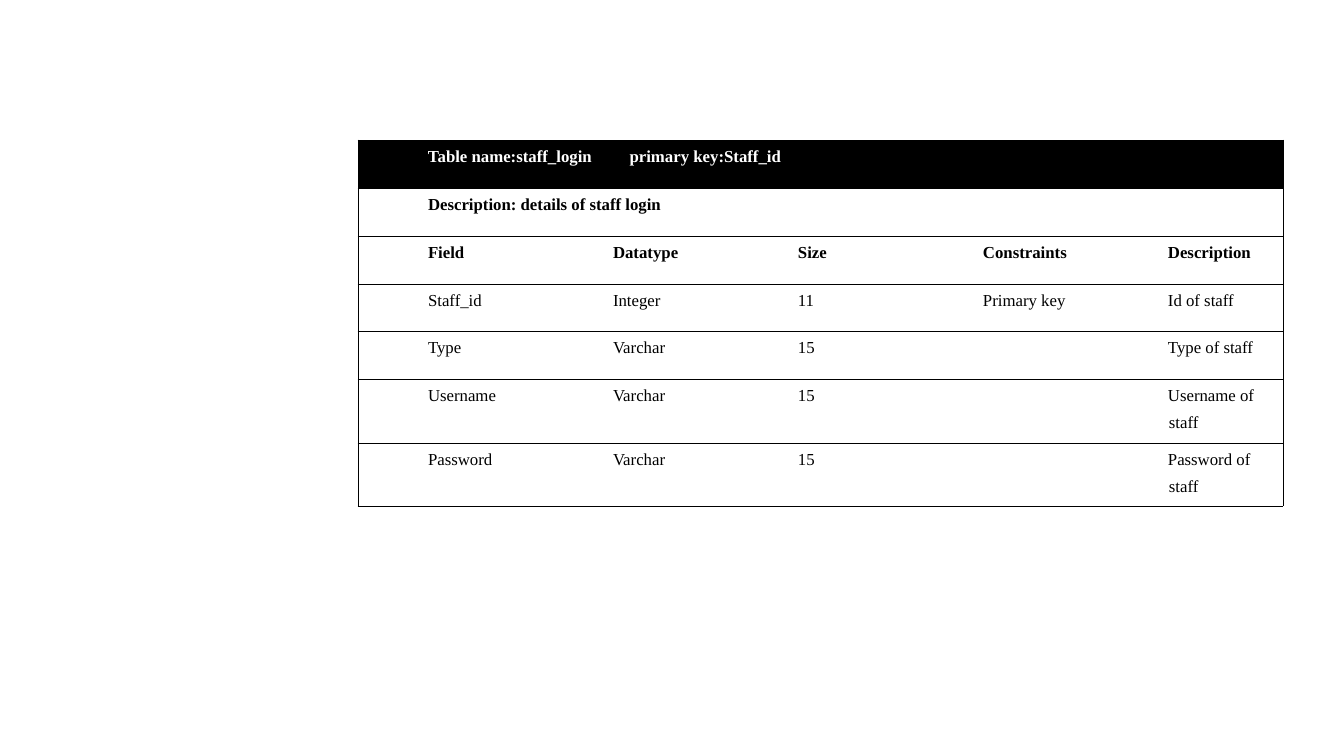
import pptx
import pptx.util
import pptx.dml.color
import pptx.oxml.ns
import lxml.etree

PX = 9071
HUES = {"ink": "000000", "paper": "FFFFFF"}
COLS = 5
WIDTH = 185
HEIGHTS = [48, 48, 48, 47, 48, 64, 63]
ROWS = [
    ["Table name:staff_login\tprimary key:Staff_id"],
    ["Description: details of staff login"],
    ["Field", "Datatype", "Size", "Constraints", "Description"],
    ["Staff_id", "Integer", "11", "Primary key", "Id of staff"],
    ["Type", "Varchar", "15", "", "Type of staff"],
    ["Username", "Varchar", "15", "", "Username of staff"],
    ["Password", "Varchar", "15", "", "Password of staff"],
]
BODY = {"inset": 7, "indent": 64, "first": -1, "tab": None, "bold": False, "hue": "ink"}
BOLD = {**BODY, "bold": True}
HEAD = {**BOLD, "inset": 70, "indent": 0, "first": 0, "tab": 327, "hue": "paper"}
LOOKS = [HEAD, BOLD, BOLD] + [BODY] * 4


def px(count):
    return pptx.util.Emu(count * PX)


def color(name):
    return pptx.dml.color.RGBColor.from_string(HUES[name])


def assign(target, values):
    for name, value in values.items():
        setattr(target, name, value)


def add(parent, tag, **attrs):
    return lxml.etree.SubElement(parent, pptx.oxml.ns.qn(tag), **attrs)


def edge(cell, sides):
    props = cell._tc.get_or_add_tcPr()
    for side in "LRTB":
        line = add(props, "a:ln" + side, w=str(pptx.util.Pt(0.5)))
        if side in sides:
            add(add(line, "a:solidFill"), "a:srgbClr", val=HUES["ink"])
        else:
            add(line, "a:noFill")


def write(cell, text, look):
    assign(cell, {
        "margin_left": px(look["inset"]), "margin_right": px(7),
        "margin_top": 0, "margin_bottom": 0,
    })
    para = cell.text_frame.paragraphs[0]
    props = para._p.get_or_add_pPr()
    props.set("marL", str(px(look["indent"])))
    props.set("indent", str(px(look["first"])))
    if look["tab"]:
        stops = add(props, "a:tabLst")
        add(stops, "a:tab", pos=str(px(look["tab"])), algn="l")
    para.line_spacing = 1.43
    run = para.add_run()
    run.text = text
    assign(run.font, {
        "name": "Times New Roman", "size": pptx.util.Pt(12), "bold": look["bold"],
    })
    run.font.color.rgb = color(look["hue"])


def add_grid(slide):
    frame = slide.shapes.add_table(
        len(ROWS), COLS, px(358), px(140), px(WIDTH * COLS), px(sum(HEIGHTS)))
    table = frame.table
    assign(table, {"first_row": False, "horz_banding": False})
    for col in table.columns:
        col.width = px(WIDTH)
    for r, (texts, look) in enumerate(zip(ROWS, LOOKS)):
        table.rows[r].height = px(HEIGHTS[r])
        merged = len(texts) == 1
        if merged:
            table.cell(r, 0).merge(table.cell(r, COLS - 1))
        for c in range(COLS):
            cell = table.cell(r, c)
            left = "L" if c == 0 else ""
            right = "R" if c == COLS - 1 or merged and c == 0 else ""
            edge(cell, left + right + "TB")
            if look is HEAD:
                cell.fill.solid()
                cell.fill.fore_color.rgb = color("ink")
            else:
                cell.fill.background()
        for c, text in enumerate(texts):
            if text:
                write(table.cell(r, c), text, look)


def main():
    deck = pptx.Presentation()
    assign(deck, {"slide_width": px(1344), "slide_height": px(756)})
    slide = deck.slides.add_slide(deck.slide_layouts[6])
    add_grid(slide)
    deck.save("out.pptx")


if __name__ == "__main__":
    main()
